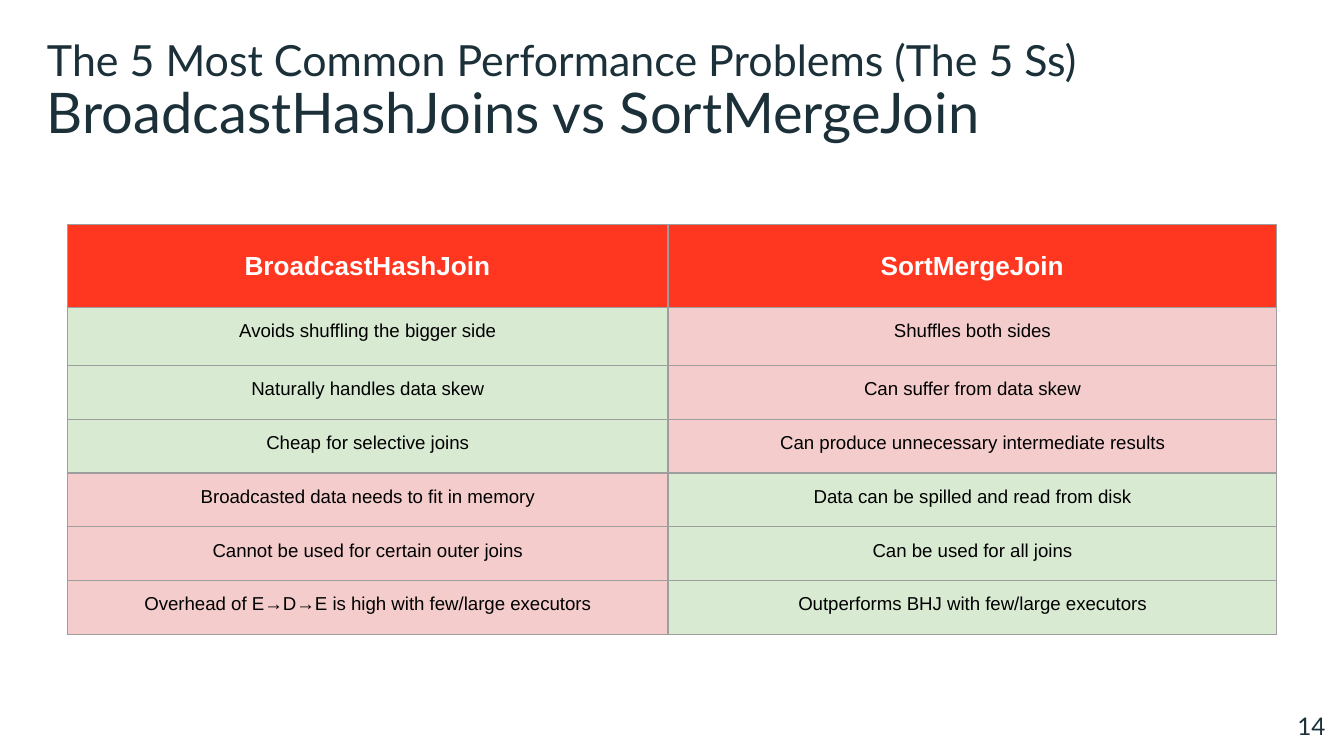
from lxml.etree import SubElement
from pptx import Presentation
from pptx.dml.color import RGBColor
from pptx.enum.text import MSO_ANCHOR as Anchor, PP_ALIGN as Align
from pptx.oxml.ns import qn
from pptx.util import Inches, Pt

NAVY, RED, GREEN, PINK, GREY = "1B3038", "FF3620", "D9EAD3", "F4CCCC", "9E9E9E"
HEADERS = ("BroadcastHashJoin", "SortMergeJoin")
COMPARISON = [
    ("Avoids shuffling the bigger side", "Shuffles both sides", True),
    ("Naturally handles data skew", "Can suffer from data skew", True),
    ("Cheap for selective joins", "Can produce unnecessary intermediate results", True),
    ("Broadcasted data needs to fit in memory", "Data can be spilled and read from disk", False),
    ("Cannot be used for certain outer joins", "Can be used for all joins", False),
    ("Overhead of E→D→E is high with few/large executors",
     "Outperforms BHJ with few/large executors", False),
]


def rgb(color):
    """Turn a hex string into a colour."""
    return RGBColor.from_string(color)


def write(tf, text, size, font, color, align=Align.LEFT, bold=False):
    """Write one formatted line into a text frame."""
    p = tf.paragraphs[0]
    p.alignment = align
    r = p.add_run()
    r.text = text
    for name, value in {"size": Pt(size), "name": font, "bold": bold}.items():
        setattr(r.font, name, value)
    r.font.color.rgb = rgb(color)


def add_text(s, box, insets, text, size, align=Align.LEFT):
    """Add a one-line text box in the slide's heading style."""
    tf = s.shapes.add_textbox(*map(Inches, box)).text_frame
    tf.word_wrap = True
    for side, inset in zip(("left", "top", "right", "bottom"), insets):
        setattr(tf, f"margin_{side}", Inches(inset))
    write(tf, text, size, "Lato", NAVY, align)


def add_heading(s, left, top, width):
    """Place the title with its subtitle below."""
    insets = (0.35, 0, 0, 0)
    add_text(s, (left, top, width, 0.42), insets,
             "The 5 Most Common Performance Problems (The 5 Ss)", 23)
    add_text(s, (left, top + 0.33, width, 0.5), insets,
             "BroadcastHashJoins vs SortMergeJoin", 30)


def style_cell(cell, fill, anchor):
    """Give a cell its margins, borders, anchor and fill."""
    for side in ("left", "top", "right", "bottom"):
        setattr(cell, f"margin_{side}", Inches(0.1))
    cell.vertical_anchor = anchor
    tc_pr = cell._tc.get_or_add_tcPr()
    for edge in ("lnL", "lnR", "lnT", "lnB"):
        line = SubElement(tc_pr, qn(f"a:{edge}"), w=str(Pt(0.75)))
        SubElement(SubElement(line, qn("a:solidFill")), qn("a:srgbClr"), val=GREY)
    cell.fill.solid()
    cell.fill.fore_color.rgb = rgb(fill)


def add_comparison(s, left, top, widths, heights):
    """Place the join table, with strengths green and weaknesses pink."""
    box = (left, top, sum(widths), sum(heights))
    table = s.shapes.add_table(len(heights), len(widths), *map(Inches, box)).table
    for column, width in zip(table.columns, widths):
        column.width = Inches(width)
    for row, height in zip(table.rows, heights):
        row.height = Inches(height)
    for c, header in enumerate(HEADERS):
        cell = table.cell(0, c)
        style_cell(cell, RED, Anchor.MIDDLE)
        write(cell.text_frame, header, 14, "Arial", "FFFFFF", Align.CENTER, True)
    for r, (broadcast, merge, broadcast_wins) in enumerate(COMPARISON, 1):
        fills = (GREEN, PINK) if broadcast_wins else (PINK, GREEN)
        for c, (text, fill) in enumerate(zip((broadcast, merge), fills)):
            cell = table.cell(r, c)
            style_cell(cell, fill, Anchor.TOP)
            write(cell.text_frame, text, 10, "Arial", "000000", Align.CENTER)


def main():
    """Build and save the slide."""
    prs = Presentation()
    prs.slide_width = Inches(10)
    prs.slide_height = prs.slide_width * 9 // 16
    s = prs.slides.add_slide(prs.slide_layouts[6])
    add_heading(s, 0, 0.25, 10)
    add_comparison(s, 0.5, 1.67, (4.47, 4.53), [0.62, 0.43] + [0.4] * 5)
    add_text(s, (9.36, 5.19, 0.6, 0.43), (0.1,) * 4, "14", 13, Align.RIGHT)
    prs.save("out.pptx")


if __name__ == "__main__":
    main()
